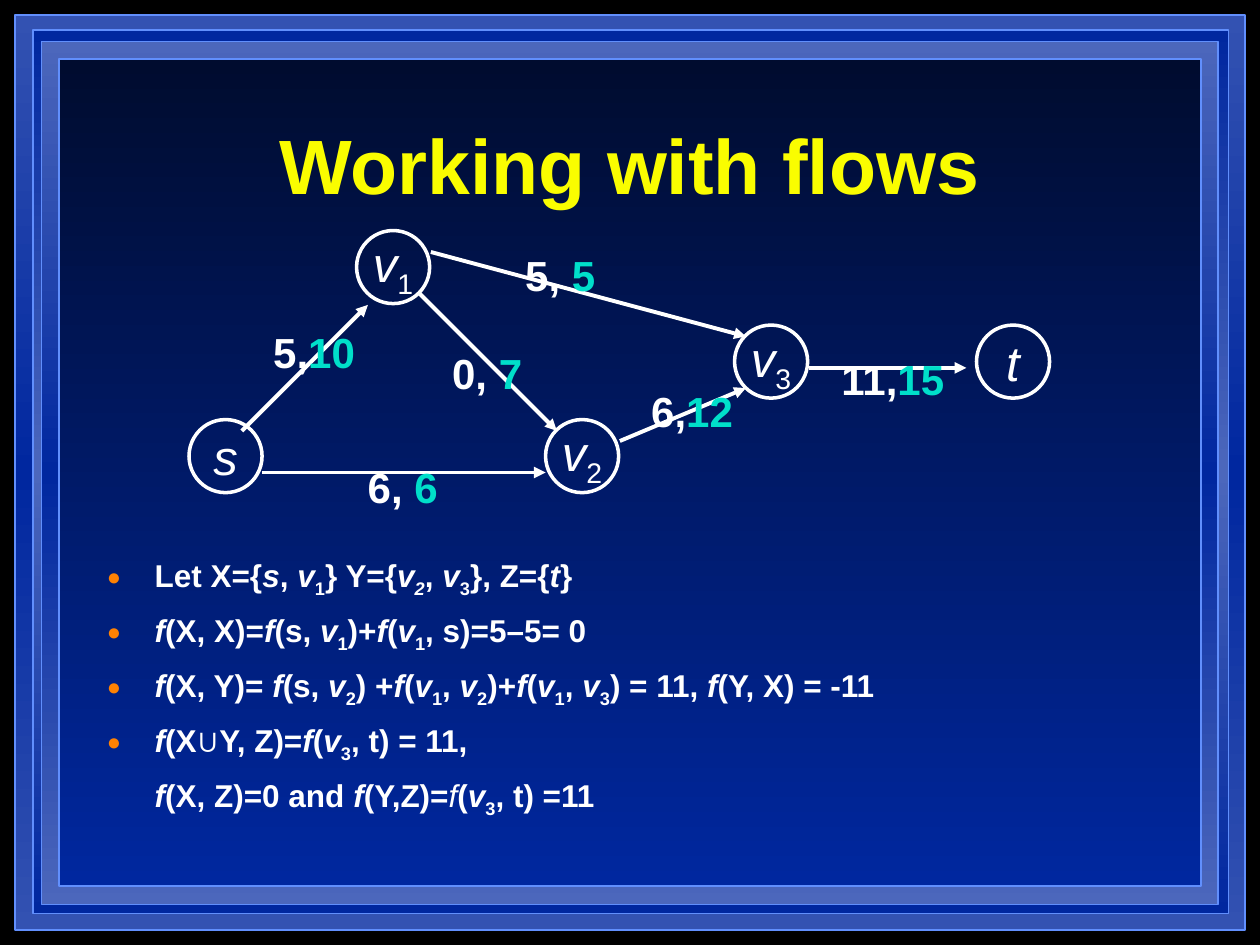
from pptx import Presentation
from pptx.dml.color import RGBColor
from pptx.enum.shapes import MSO_CONNECTOR, MSO_SHAPE
from pptx.enum.text import MSO_ANCHOR, MSO_AUTO_SIZE, PP_ALIGN
from pptx.oxml import parse_xml
from pptx.oxml.ns import nsdecls, qn
from pptx.util import Inches, Pt
from copy import deepcopy

WHITE, YELLOW, TEAL, ORANGE = "FFFFFF", "FAFD00", "00DFCA", "FF8203"
FRAME_LINE = "618FFD"
ITALIC, SUBSCRIPT, LIGHT = "*", "_", "~"

FRAMES = [
    ((0.12, 0.12, 9.76, 7.26), ("3352B2", "00279F", "3352B2")),
    ((0.26, 0.24, 9.49, 7.01), ("00279F", "4C67BC", "00279F")),
    ((0.33, 0.33, 9.34, 6.85), ("4C67BC", "00279F", "4C67BC")),
    ((0.47, 0.47, 9.06, 6.56), ("000C2F", "00279F")),
]

TITLE = "Working with flows"

NODE_SIZE = 0.58
NODES = [
    ("*s", 1.5, 3.33),
    ("*v_2", 4.33, 3.33),
    ("*v_1", 2.83, 1.83),
    ("*v_3", 5.83, 2.58),
    ("*t", 7.75, 2.58),
]

EDGES = [
    ((1.92, 3.42), (2.92, 2.42), "5,", "10", (2.07, 2.54, 0.86)),
    ((2.08, 3.75), (4.33, 3.75), "6, ", "6", (2.82, 3.61, 0.77)),
    ((3.33, 2.33), (4.42, 3.42), "0, ", "7", (3.49, 2.71, 0.77)),
    ((3.42, 2), (5.92, 2.67), "5, ", "5", (4.07, 1.93, 0.77)),
    ((4.92, 3.5), (5.92, 3.08), "6,", "12", (5.07, 3.01, 0.86)),
    ((6.42, 2.92), (7.67, 2.92), "11,", "15", (6.58, 2.76, 1.04)),
]

STATEMENTS = [
    ("Let X={*s, *v_1} Y={*v*_2, *v_3}, Z={*t}", True),
    ("*f(X, X)=*f(s, *v_1)+*f(*v_1, s)=5–5= 0", True),
    ("*f(X, Y)= *f(s, *v_2) +*f(*v_1, *v_2)+*f(*v_1, *v_3) = 11, *f(Y, X) = -11", True),
    ("*f(X∪Y, Z)=*f(*v_3, t) = 11,", True),
    ("*f(X, Z)=0 and *f(Y,Z)=~*f(*v_3, t) =11", False),
]


def color(value):
    return RGBColor.from_string(value)


def apply(target, values):
    for name, value in values.items():
        setattr(target, name, value)


def add_run(paragraph, text, size, fill, **values):
    run = paragraph.add_run()
    run.text = text
    apply(run.font, {"name": "Arial", "size": Pt(size), **values})
    run.font.color.rgb = color(fill)
    return run


def split_marked(text):
    pieces, marks = [], ""
    for character in text:
        if character in (ITALIC, SUBSCRIPT, LIGHT):
            marks += character
            continue
        if pieces and pieces[-1][1] == marks:
            pieces[-1][0] += character
        else:
            pieces.append([character, marks])
        marks = ""
    return pieces


def add_marked(paragraph, text, size, bold):
    for piece, marks in split_marked(text):
        run = add_run(paragraph, piece, size, WHITE,
                      bold=bold and LIGHT not in marks, italic=ITALIC in marks)
        if SUBSCRIPT in marks:
            run.font._element.set("baseline", "-25000")


def add_text_box(slide, box, **values):
    frame = slide.shapes.add_textbox(*map(Inches, box)).text_frame
    apply(frame, values)
    return frame


def add_frame(slide, box, colors):
    shape = slide.shapes.add_shape(MSO_SHAPE.RECTANGLE, *map(Inches, box))
    shape.shadow.inherit = False
    shape.line.color.rgb = color(FRAME_LINE)
    shape.line.width = Pt(1)
    shape.fill.gradient()
    shape.fill.gradient_angle = 270
    stop_list = shape._element.spPr.find(qn("a:gradFill")).find(qn("a:gsLst"))
    while len(stop_list) < len(colors):
        stop_list.append(deepcopy(stop_list[0]))
    for index, stop in enumerate(shape.fill.gradient_stops):
        stop.position = index / (len(colors) - 1)
        stop.color.rgb = color(colors[index])


def add_node(slide, label, left, top):
    box = (left, top, NODE_SIZE, NODE_SIZE)
    shape = slide.shapes.add_shape(MSO_SHAPE.OVAL, *map(Inches, box))
    shape.shadow.inherit = False
    shape.fill.background()
    shape.line.color.rgb = color(WHITE)
    shape.line.width = Pt(2)
    apply(shape.text_frame, {"word_wrap": False, "vertical_anchor": MSO_ANCHOR.MIDDLE})
    paragraph = shape.text_frame.paragraphs[0]
    paragraph.alignment = PP_ALIGN.CENTER
    add_marked(paragraph, label, 28, False)


def add_arrow(slide, start, end):
    connector = slide.shapes.add_connector(
        MSO_CONNECTOR.STRAIGHT, *map(Inches, start + end))
    connector.line.color.rgb = color(WHITE)
    connector.line.width = Pt(2.25)
    connector.line._get_or_add_ln().append(
        parse_xml(f'<a:tailEnd {nsdecls("a")} type="triangle"/>'))
    connector._element.spPr.append(parse_xml(f'<a:effectLst {nsdecls("a")}/>'))


def add_bullet(properties):
    for xml in (
        f'<a:buClr {nsdecls("a")}><a:srgbClr val="{ORANGE}"/></a:buClr>',
        f'<a:buSzPct {nsdecls("a")} val="75000"/>',
        f'<a:buFont {nsdecls("a")} typeface="Arial"/>',
        f'<a:buChar {nsdecls("a")} char="●"/>',
    ):
        properties.append(parse_xml(xml))


def add_statements(slide):
    frame = add_text_box(slide, (0.75, 4.33, 8.5, 2.33), word_wrap=True)
    for index, (text, bulleted) in enumerate(STATEMENTS):
        paragraph = frame.add_paragraph() if index else frame.paragraphs[0]
        properties = paragraph._p.get_or_add_pPr()
        properties.set("marL", str(Inches(0.38)))
        if bulleted:
            properties.set("indent", str(Inches(-0.38)))
            add_bullet(properties)
        apply(paragraph, {"line_spacing": 1.1, "space_before": Pt(4.5 if index else 0)})
        add_marked(paragraph, text, 18, True)


def main():
    presentation = Presentation()
    apply(presentation, {"slide_width": Inches(10), "slide_height": Inches(7.5)})
    slide = presentation.slides.add_slide(presentation.slide_layouts[6])
    slide.background.fill.solid()
    slide.background.fill.fore_color.rgb = color("000000")

    for box, colors in FRAMES:
        add_frame(slide, box, colors)

    title = add_text_box(slide, (0.75, 0.67, 8.5, 1.25), word_wrap=True,
                         vertical_anchor=MSO_ANCHOR.MIDDLE).paragraphs[0]
    title.alignment = PP_ALIGN.CENTER
    add_run(title, TITLE, 44, YELLOW, bold=True)
    add_statements(slide)

    for node in NODES:
        add_node(slide, *node)
    for start, end, *_ in EDGES:
        add_arrow(slide, start, end)
    for *_, flow, capacity, place in EDGES:
        label = add_text_box(slide, (*place, 0.5), word_wrap=False,
                             auto_size=MSO_AUTO_SIZE.SHAPE_TO_FIT_TEXT).paragraphs[0]
        add_run(label, flow, 24, WHITE, bold=True)
        add_run(label, capacity, 24, TEAL, bold=True)

    presentation.save("out.pptx")


if __name__ == "__main__":
    main()
